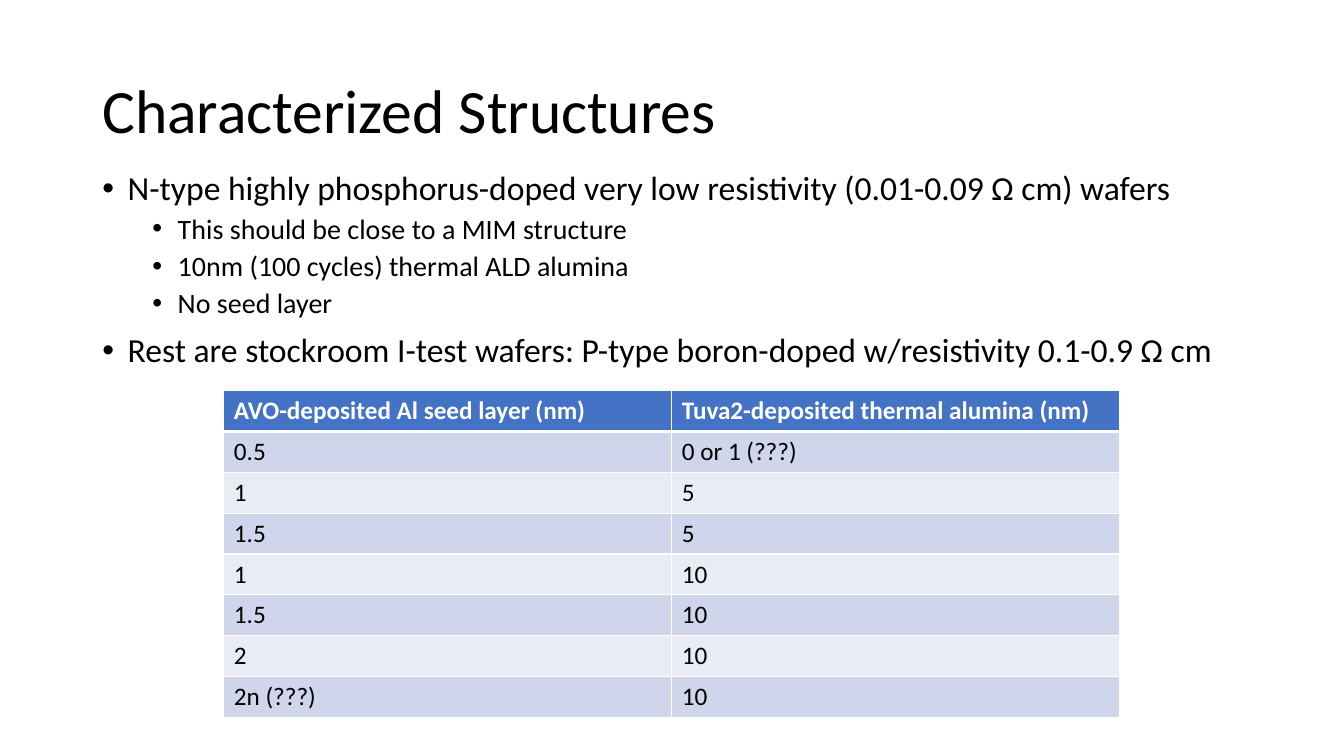
from lxml import etree
from pptx import Presentation
from pptx.dml.color import RGBColor
from pptx.enum.text import MSO_ANCHOR
from pptx.oxml.ns import qn
from pptx.util import Cm, Pt

MIDDLE, TOP = MSO_ANCHOR.MIDDLE, MSO_ANCHOR.TOP
FONT = "Calibri"
COLORS = {"text": "000000", "white": "FFFFFF", "header": "4472C4",
          "odd": "CFD5EA", "even": "E9EBF5"}
LEVELS = [
    {"size": 24, "before": 10, "indent": 0.64},
    {"size": 20, "before": 5, "indent": 1.9},
]
HANGING = 0.64

BULLETS = [
    (0, "N-type highly phosphorus-doped very low resistivity (0.01-0.09 \u2126 cm) wafers"),
    (1, "This should be close to a MIM structure"),
    (1, "10nm (100 cycles) thermal ALD alumina"),
    (1, "No seed layer"),
    (0, "Rest are stockroom I-test wafers: P-type boron-doped w/resistivity 0.1-0.9 \u2126 cm"),
]
LAYERS = [
    ("AVO-deposited Al seed layer (nm)", "Tuva2-deposited thermal alumina (nm)"),
    ("0.5", "0 or 1 (???)"),
    ("1", "5"),
    ("1.5", "5"),
    ("1", "10"),
    ("1.5", "10"),
    ("2", "10"),
    ("2n (???)", "10"),
]


def rgb(name):
    return RGBColor.from_string(COLORS[name])


def add_run(p, text, size, color="text", bold=False):
    r = p.add_run()
    r.text = text
    r.font.name = FONT
    r.font.size = Pt(size)
    r.font.bold = bold
    r.font.color.rgb = rgb(color)


def add_frame(s, box, anchor):
    tf = s.shapes.add_textbox(*(Cm(v) for v in box)).text_frame
    tf.word_wrap = True
    tf.vertical_anchor = anchor
    return tf


def set_bullet(p, indent):
    pPr = p._p.get_or_add_pPr()
    pPr.set("marL", str(Cm(indent)))
    pPr.set("indent", str(-Cm(HANGING)))
    etree.SubElement(pPr, qn("a:buFont")).set("typeface", "Arial")
    etree.SubElement(pPr, qn("a:buChar")).set("char", "\u2022")


def set_borders(cell, bottom):
    tcPr = cell._tc.get_or_add_tcPr()
    widths = {"a:lnL": 1, "a:lnR": 1, "a:lnT": 1, "a:lnB": bottom}
    for i, (tag, width) in enumerate(widths.items()):
        ln = etree.Element(qn(tag), w=str(Pt(width)))
        fill = etree.SubElement(ln, qn("a:solidFill"))
        etree.SubElement(fill, qn("a:srgbClr")).set("val", COLORS["white"])
        tcPr.insert(i, ln)


def add_title(s, box, text):
    p = add_frame(s, box, MIDDLE).paragraphs[0]
    p.line_spacing = 0.9
    add_run(p, text, 44)


def add_bullets(s, box, bullets):
    tf = add_frame(s, box, TOP)
    for i, (level, text) in enumerate(bullets):
        style = LEVELS[level]
        p = tf.add_paragraph() if i else tf.paragraphs[0]
        p.level = level
        p.line_spacing = 0.9
        p.space_before = Pt(style["before"])
        set_bullet(p, style["indent"])
        add_run(p, text, style["size"])


def add_layer_table(s, box, rows):
    table = s.shapes.add_table(len(rows), len(rows[0]), *(Cm(v) for v in box)).table
    for i, row in enumerate(rows):
        header = i == 0
        fill = "header" if header else "odd" if i % 2 else "even"
        for j, text in enumerate(row):
            cell = table.cell(i, j)
            cell.fill.solid()
            cell.fill.fore_color.rgb = rgb(fill)
            set_borders(cell, 3 if header else 1)
            add_run(cell.text_frame.paragraphs[0], text, 18,
                    "white" if header else "text", header)


def add_structures_slide(prs):
    s = prs.slides.add_slide(prs.slide_layouts[6])
    add_title(s, (2.33, 1.01, 29.21, 3.68), "Characterized Structures")
    add_bullets(s, (2.33, 4.2, 29.21, 12.09), BULLETS)
    add_layer_table(s, (5.64, 9.84, 22.58, 8.24), LAYERS)


prs = Presentation()
prs.slide_width, prs.slide_height = Cm(33.87), Cm(19.05)
add_structures_slide(prs)
prs.save("out.pptx")
